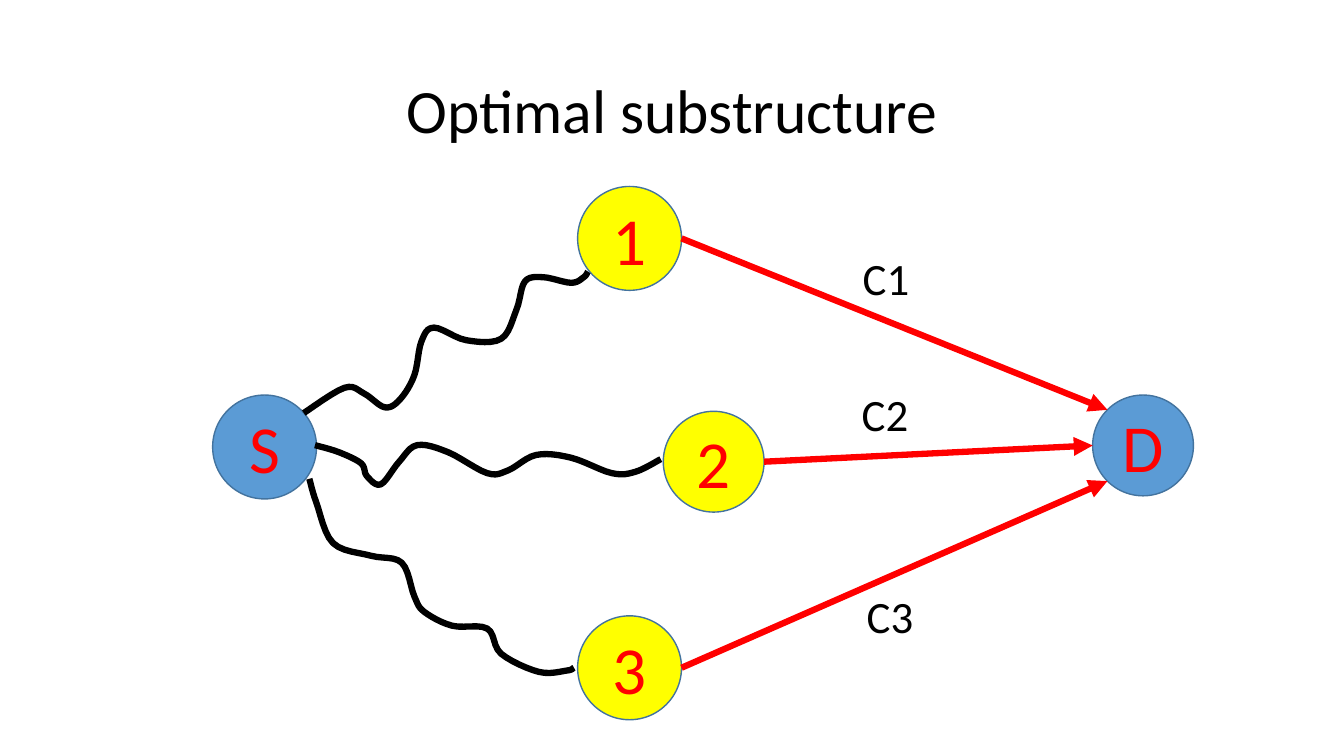
from math import cos, radians, sin

from lxml import etree
from pptx import Presentation
from pptx.dml.color import RGBColor
from pptx.enum import shapes, text
from pptx.oxml import ns
from pptx.util import Pt

BLACK = RGBColor(0, 0, 0)
RED = RGBColor(0xFF, 0, 0)
YELLOW = RGBColor(0xFF, 0xFF, 0)
BLUE = RGBColor(0x5B, 0x9B, 0xD5)
OUTLINE = RGBColor(0x43, 0x73, 0x9E)
FONT = "Calibri"
PATH_WIDTH = 4.5
STEPS_PER_BEND = 6

TITLE = "Optimal substructure"
TITLE_CENTRE, TITLE_SIZE = (480, 81), (828, 104.4)
COST_SIZE = (59, 46)
SOURCE, TARGET = "S", "D"

# name: (centre, diameter, fill)
NODES = {
    SOURCE: ((189, 319.3), 74.2, BLUE),
    "1": ((449.7, 170.3), 74.2, YELLOW),
    "3": ((449.7, 477), 74.2, YELLOW),
    "2": ((509.8, 329.8), 72, YELLOW),
    TARGET: ((816.5, 318.2), 72, BLUE),
}

# Wavy routes leave the source; each list holds only the bends of one wave.
ROUTES = {
    "1": [(217, 295), (246, 277), (260, 281), (275, 291), (286, 285), (296, 268),
          (301, 244), (310, 234), (333, 243), (358, 242), (369, 221), (375, 201),
          (388, 198), (408, 202), (417, 198), (420, 194)],
    "2": [(225, 318), (242, 323), (258, 331), (262, 340), (272, 346), (285, 330),
          (298, 318), (320, 323), (348, 338), (363, 336), (383, 325), (408, 327),
          (437, 338), (454, 337), (472, 328)],
    "3": [(221, 342), (226, 359), (238, 388), (265, 397), (287, 402), (296, 426),
          (303, 437), (323, 447), (348, 449), (358, 467), (385, 480), (405, 479),
          (410, 477)],
}

# middle node, angle where its arrow meets the target, cost, centre of the cost
EDGES = [
    ("1", 225, "C1", (638.6, 198.7)),
    ("2", 180, "C2", (637.9, 295.9)),
    ("3", 135, "C3", (641.5, 439.9)),
]


def centred_box(centre, size):
    """Return left, top, width and height of a box around its centre."""
    (x, y), (width, height) = centre, size
    return [Pt(v) for v in (x - width / 2, y - height / 2, width, height)]


def rim_point(name, angle):
    """Return the point on a node's rim, clockwise from its right side."""
    (x, y), diameter, _ = NODES[name]
    turn = radians(angle)
    return x + diameter / 2 * cos(turn), y + diameter / 2 * sin(turn)


def spline(before, start, end, after, t):
    """Return one Catmull-Rom coordinate at share t between start and end."""
    return (2 * start + (end - before) * t
            + (2 * before - 5 * start + 4 * end - after) * t ** 2
            + (3 * start - before - 3 * end + after) * t ** 3) / 2


def wave(bends):
    """Return points on a smooth curve through all bends."""
    padded = [bends[0], *bends, bends[-1]]
    points = [bends[0]]
    for neighbours in zip(padded, padded[1:], padded[2:], padded[3:]):
        xs, ys = zip(*neighbours)
        for step in range(1, STEPS_PER_BEND + 1):
            t = step / STEPS_PER_BEND
            points.append((spline(*xs, t), spline(*ys, t)))
    return points


def write(shape, words, size, color=BLACK, align=text.PP_ALIGN.CENTER,
          anchor=text.MSO_ANCHOR.MIDDLE, spacing=1.0):
    """Put one formatted line of text into a shape."""
    frame = shape.text_frame
    frame.word_wrap = True
    frame.vertical_anchor = anchor
    line = frame.paragraphs[0]
    line.alignment = align
    line.line_spacing = spacing
    run = line.add_run()
    run.text = words
    run.font.name = FONT
    run.font.size = Pt(size)
    run.font.color.rgb = color


def draw_line(part, color, width):
    """Set the line colour and width of a shape or connector."""
    part.line.color.rgb = color
    part.line.width = Pt(width)


def add_label(words, centre, box_size, size, **style):
    """Add a text box around its centre."""
    label = slide.shapes.add_textbox(*centred_box(centre, box_size))
    write(label, words, size, **style)


def add_node(name):
    """Draw a round node with its name."""
    centre, diameter, fill = NODES[name]
    node = slide.shapes.add_shape(shapes.MSO_SHAPE.OVAL,
                                  *centred_box(centre, (diameter, diameter)))
    node.shadow.inherit = False
    node.fill.solid()
    node.fill.fore_color.rgb = fill
    draw_line(node, OUTLINE, 1)
    write(node, name, 48, color=RED)


def add_route(bends):
    """Draw an open wavy route through its bends."""
    start, *rest = [(Pt(x), Pt(y)) for x, y in wave(bends)]
    builder = slide.shapes.build_freeform(*start)
    builder.add_line_segments(rest, close=False)
    route = builder.convert_to_shape()
    route.shadow.inherit = False
    route.fill.background()
    draw_line(route, BLACK, PATH_WIDTH)


def add_edge(name, angle):
    """Draw an arrow from the right side of a node to the target's rim."""
    ends = [Pt(v) for v in rim_point(name, 0) + rim_point(TARGET, angle)]
    edge = slide.shapes.add_connector(shapes.MSO_CONNECTOR.STRAIGHT, *ends)
    draw_line(edge, RED, PATH_WIDTH)
    properties = edge._element.spPr
    etree.SubElement(properties.find(ns.qn("a:ln")), ns.qn("a:tailEnd"), type="triangle")
    etree.SubElement(properties, ns.qn("a:effectLst"))


deck = Presentation()
deck.slide_width, deck.slide_height = Pt(960), Pt(540)
slide = deck.slides.add_slide(deck.slide_layouts[6])

add_label(TITLE, TITLE_CENTRE, TITLE_SIZE, 44, spacing=0.9)
for node_name in NODES:
    add_node(node_name)
for route_bends in ROUTES.values():
    add_route(route_bends)
for middle_node, meeting_angle, cost, cost_centre in EDGES:
    add_edge(middle_node, meeting_angle)
    add_label(cost, cost_centre, COST_SIZE, 32, align=text.PP_ALIGN.LEFT,
              anchor=text.MSO_ANCHOR.TOP)

deck.save("out.pptx")
